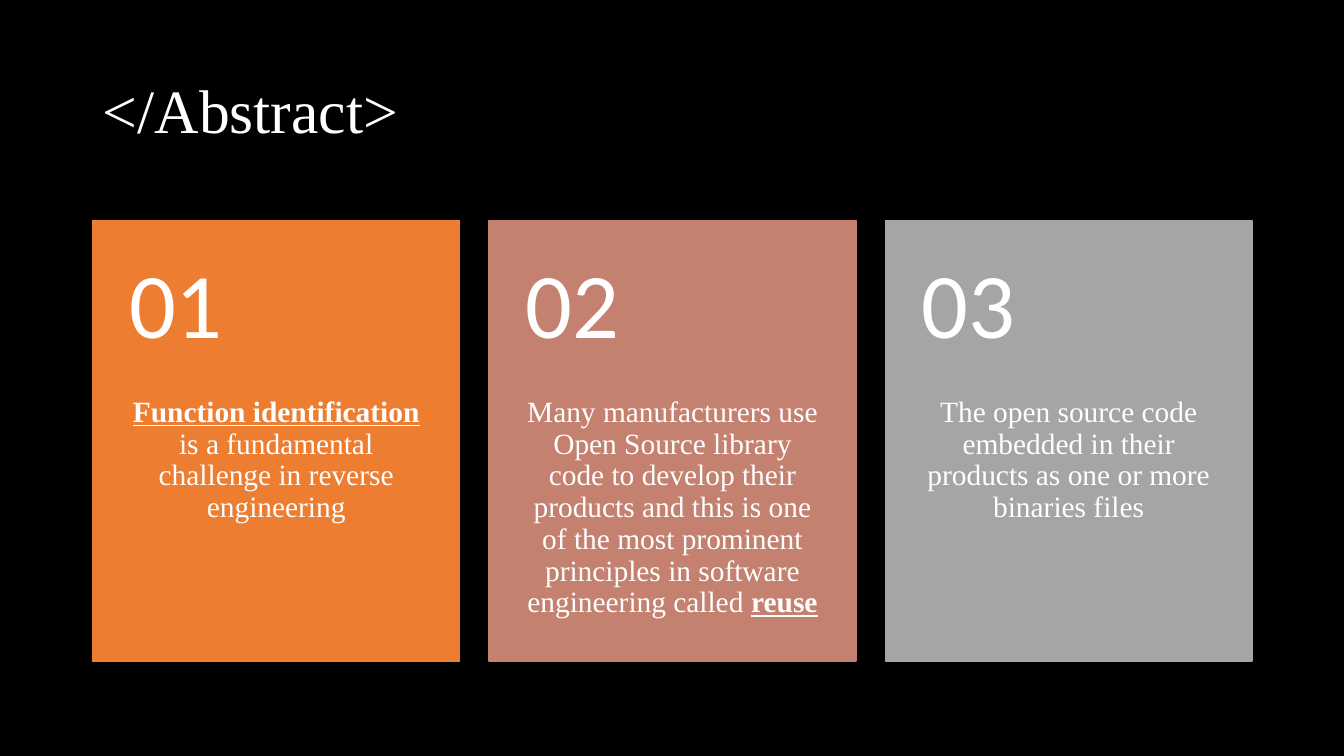
import pptx
import pptx.util
import pptx.dml.color
import pptx.enum.shapes
import pptx.enum.text
from dataclasses import dataclass

TITLE = "</Abstract>"
CARDS = [
    ("01", "ED7D31", [("Function identification ", True),
                      ("is a fundamental challenge in reverse engineering", False)]),
    ("02", "C48170", [("Many manufacturers use Open Source library code to develop their "
                       "products and this is one of the most prominent principles in "
                       "software engineering called ", False),
                      ("reuse", True)]),
    ("03", "A5A5A5", [("The open source code embedded in their products as one or more "
                       "binaries files", False)]),
]


@dataclass(frozen=True)
class Theme:
    background: str = "000000"
    text: str = "FFFFFF"
    serif: str = "Times New Roman"
    sans: str = "Calibri"
    title_size: int = 44
    number_size: int = 66
    body_size: int = 21
    line_spacing: float = 0.9


THEME = Theme()
WIDTH, HEIGHT = 13.33, 7.5
MARGIN = 0.92
CONTENT_WIDTH = 11.5
GUTTER = 0.29
CARD_TOP, CARD_HEIGHT = 2.19, 4.37
CARD_WIDTH = (CONTENT_WIDTH - GUTTER * (len(CARDS) - 1)) / len(CARDS)
NUMBER_HEIGHT = CARD_HEIGHT * 0.4
PADDING = 0.36

ANCHOR = pptx.enum.text.MSO_ANCHOR
ALIGN = pptx.enum.text.PP_ALIGN


def inches(*lengths):
    return [pptx.util.Inches(length) for length in lengths]


def color(value):
    return pptx.dml.color.RGBColor.from_string(value)


def write(frame, runs, font, size, anchor, align, insets=None):
    frame.word_wrap = True
    frame.vertical_anchor = anchor
    if insets:
        (frame.margin_left, frame.margin_top,
         frame.margin_right, frame.margin_bottom) = inches(*insets)
    paragraph = frame.paragraphs[0]
    paragraph.alignment = align
    paragraph.line_spacing = THEME.line_spacing
    for words, emphasis in runs:
        run = paragraph.add_run()
        run.text = words
        run.font.name = font
        run.font.size = pptx.util.Pt(size)
        run.font.color.rgb = color(THEME.text)
        run.font.bold = run.font.underline = emphasis


def add_card(slide, column, number, fill, statement):
    left = MARGIN + column * (CARD_WIDTH + GUTTER)
    panel = slide.shapes.add_shape(
        pptx.enum.shapes.MSO_SHAPE.RECTANGLE,
        *inches(left, CARD_TOP, CARD_WIDTH, CARD_HEIGHT))
    panel.shadow.inherit = False
    panel.fill.solid()
    panel.fill.fore_color.rgb = color(fill)
    panel.line.color.rgb = color(fill)
    panel.line.width = pptx.util.Pt(1)

    body = slide.shapes.add_textbox(*inches(
        left, CARD_TOP + NUMBER_HEIGHT, CARD_WIDTH, CARD_HEIGHT - NUMBER_HEIGHT))
    write(body.text_frame, statement, THEME.serif, THEME.body_size,
          ANCHOR.TOP, ALIGN.CENTER, (PADDING, 0, PADDING, PADDING))

    heading = slide.shapes.add_textbox(*inches(left, CARD_TOP, CARD_WIDTH, NUMBER_HEIGHT))
    write(heading.text_frame, [(number, False)], THEME.sans, THEME.number_size,
          ANCHOR.MIDDLE, ALIGN.LEFT, (PADDING, PADDING / 2, PADDING, PADDING / 2))


def main():
    deck = pptx.Presentation()
    deck.slide_width, deck.slide_height = inches(WIDTH, HEIGHT)
    slide = deck.slides.add_slide(deck.slide_layouts[5])
    slide.background.fill.solid()
    slide.background.fill.fore_color.rgb = color(THEME.background)

    title = slide.shapes.title
    title.left, title.top, title.width, title.height = inches(
        MARGIN, 0.4, CONTENT_WIDTH, 1.45)
    write(title.text_frame, [(TITLE, False)], THEME.serif, THEME.title_size,
          ANCHOR.MIDDLE, ALIGN.LEFT)

    for column, card in enumerate(CARDS):
        add_card(slide, column, *card)
    deck.save("out.pptx")


if __name__ == "__main__":
    main()
